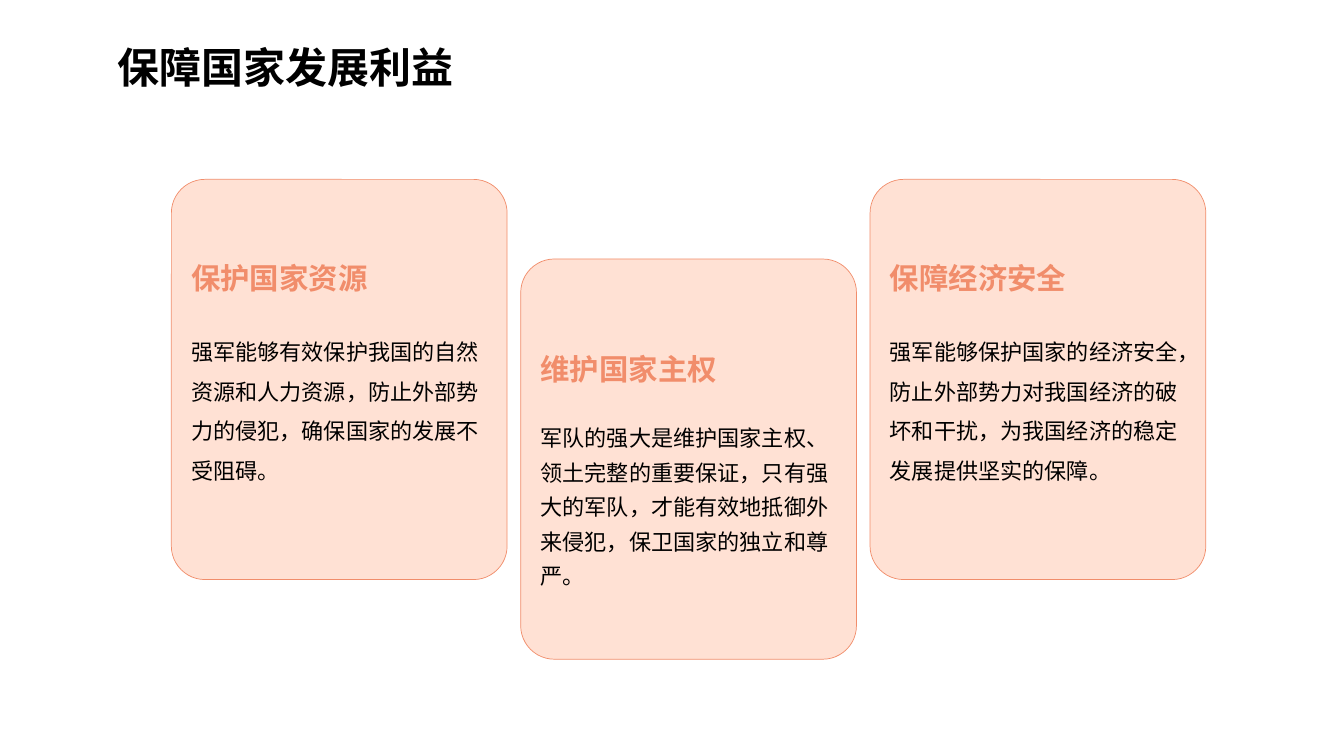
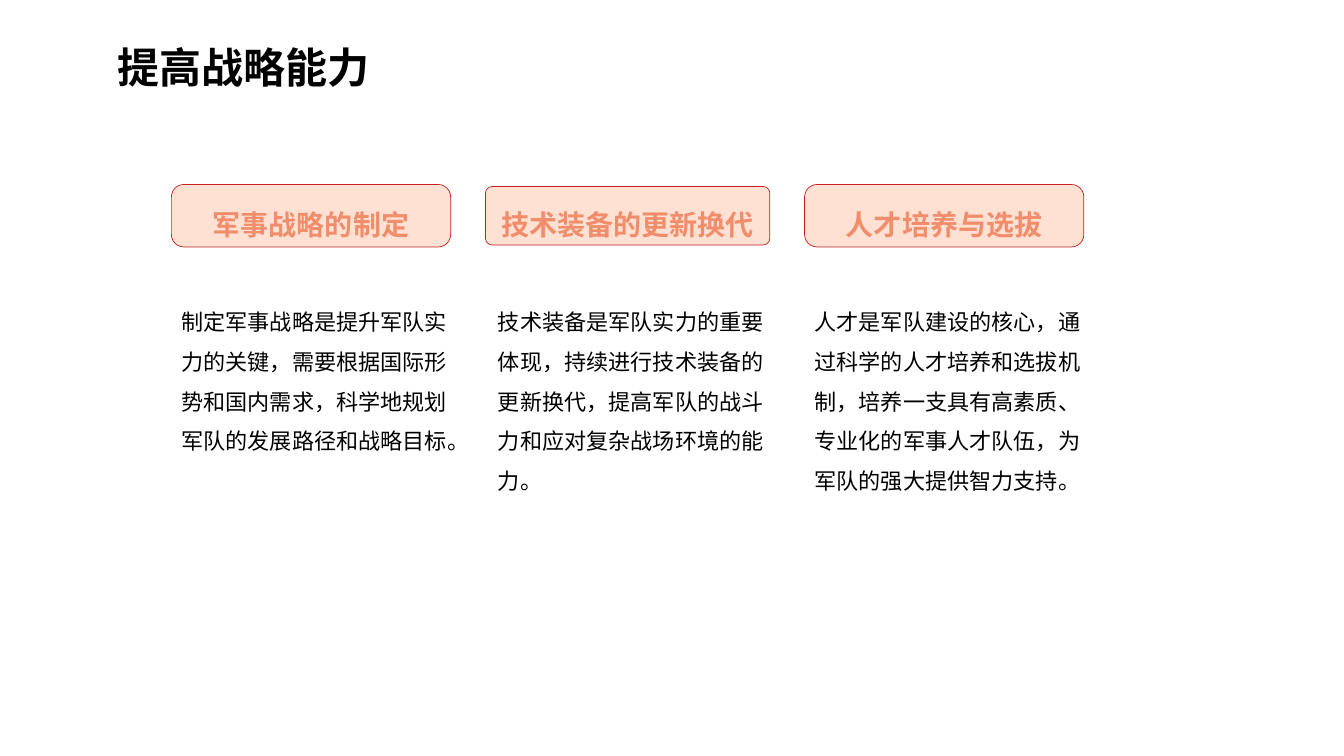
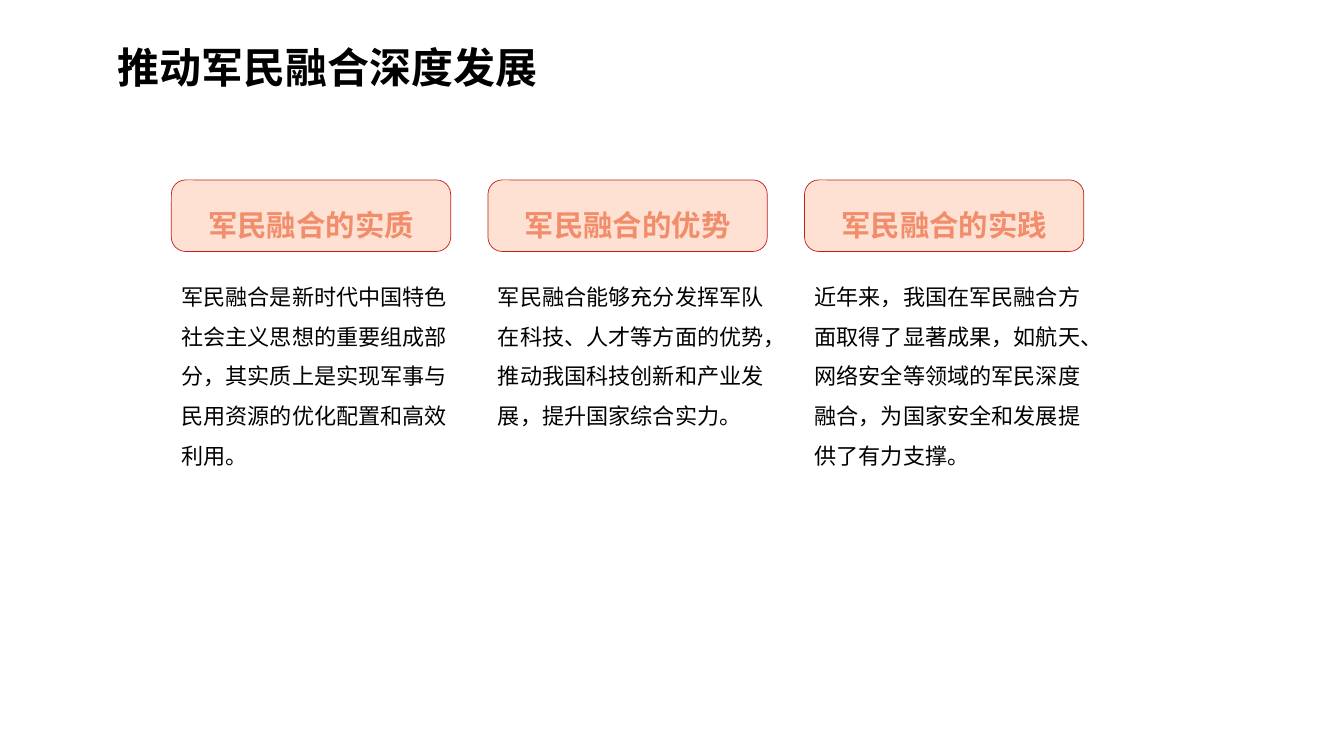
import pptx
import pptx.util
import pptx.dml.color
import pptx.enum.shapes
import pptx.enum.text
import pptx.oxml.ns
import lxml.etree

Inches = pptx.util.Inches
Pt = pptx.util.Pt
ALIGN = pptx.enum.text.PP_ALIGN
ANCHOR = pptx.enum.text.MSO_ANCHOR

FACE = "Noto Sans CJK SC"
INK, PEACH, CORAL, RED = "000000", "FFE1D4", "F18D6B", "C22020"
BODY = 15.8
LEFT, STEP, CHIP = 1.7, 3.14, 2.77


def color(code):
    return pptx.dml.color.RGBColor.from_string(code)


def write(frame, text, size=BODY, ink=INK, bold=False, align=ALIGN.LEFT,
          lead=1.5, after=0, more=False):
    """Put text in the frame's first paragraph, or in a further one if more."""
    para = frame.add_paragraph() if more else frame.paragraphs[0]
    para.alignment, para.line_spacing, para.space_after = align, lead, Pt(after)
    run = para.add_run()
    run.text = text
    font = run.font
    font.name, font.size, font.bold = FACE, Pt(size), bold
    font.color.rgb = color(ink)
    east = lxml.etree.Element(pptx.oxml.ns.qn("a:ea"), typeface=FACE)
    font._element.find(pptx.oxml.ns.qn("a:latin")).addnext(east)


def label(slide, box, text, anchor=ANCHOR.TOP, **style):
    frame = slide.shapes.add_textbox(*map(Inches, box)).text_frame
    frame.word_wrap = True
    frame.vertical_anchor = anchor
    write(frame, text, **style)


def panel(slide, box, edge, curve, anchor, top=0):
    """Draw a rounded peach panel and return its text frame."""
    shape = slide.shapes.add_shape(
        pptx.enum.shapes.MSO_SHAPE.ROUNDED_RECTANGLE, *map(Inches, box))
    shape.adjustments[0] = curve
    shape.shadow.inherit = False
    shape.fill.solid()
    shape.fill.fore_color.rgb = color(PEACH)
    shape.line.color.rgb = color(edge)
    shape.line.width = Pt(0.5)
    frame = shape.text_frame
    frame.word_wrap = True
    frame.vertical_anchor = anchor
    frame.margin_top, frame.margin_bottom = Inches(top), 0
    return frame


def start(deck, title):
    """Add a blank slide with its title."""
    slide = deck.slides.add_slide(deck.slide_layouts[6])
    label(slide, (1.07, 0.11, 10.25, 0.86), title, ANCHOR.MIDDLE,
          size=30, bold=True)
    return slide


def card(slide, left, top, head, body, inset, lead):
    frame = panel(slide, (left, top, 3.33, 3.97), CORAL, 0.1, ANCHOR.TOP, inset)
    write(frame, head, size=21, ink=CORAL, bold=True, lead=1, after=21.5)
    write(frame, body, lead=lead, more=True)


def column(slide, left, top, head, body, size, wide, high, curve=0.2):
    """Place a heading chip, centred on its column, above body text at top."""
    box = (left + (CHIP - wide) / 2, 2.14 - high / 2, wide, high)
    frame = panel(slide, box, RED, curve, ANCHOR.MIDDLE)
    write(frame, head, size=size, ink=CORAL, bold=True, align=ALIGN.CENTER)
    label(slide, (left, top, 3, 2.07), body)


def cards(deck, title, items):
    slide = start(deck, title)
    for i, (head, body) in enumerate(items):
        low = i % 2
        card(slide, LEFT + i * 3.465, 2.57 if low else 1.78, head, body,
             inset=0.82 if low else 0.7, lead=1.3 if low else 1.5)


def columns(deck, title, top, size, high, items):
    """Each item is a heading, a body and any chip settings of its own."""
    slide = start(deck, title)
    for i, (head, body, own) in enumerate(items):
        chip = {"wide": CHIP, "high": high, **own}
        column(slide, LEFT + i * STEP, top, head, body, size, **chip)


def main():
    deck = pptx.Presentation()
    deck.slide_width, deck.slide_height = Inches(13.33), Inches(7.5)
    cards(deck, "保障国家发展利益", [
        ("保护国家资源",
         "强军能够有效保护我国的自然资源和人力资源，防止外部势力的侵犯，确保国家的发展不受阻碍。"),
        ("维护国家主权",
         "军队的强大是维护国家主权、领土完整的重要保证，只有强大的军队，才能有效地抵御外来侵犯，保卫国家的独立和尊严。"),
        ("保障经济安全",
         "强军能够保护国家的经济安全，防止外部势力对我国经济的破坏和干扰，为我国经济的稳定发展提供坚实的保障。"),
    ])
    columns(deck, "提高战略能力", 2.88, 20, 0.62, [
        ("军事战略的制定",
         "制定军事战略是提升军队实力的关键，需要根据国际形势和国内需求，科学地规划军队的发展路径和战略目标。", {}),
        ("技术装备的更新换代",
         "技术装备是军队实力的重要体现，持续进行技术装备的更新换代，提高军队的战斗力和应对复杂战场环境的能力。",
         {"wide": 2.82, "high": 0.58, "curve": 0.11}),
        ("人才培养与选拔",
         "人才是军队建设的核心，通过科学的人才培养和选拔机制，培养一支具有高素质、专业化的军事人才队伍，为军队的强大提供智力支持。", {}),
    ])
    columns(deck, "推动军民融合深度发展", 2.63, 21, 0.71, [
        ("军民融合的实质",
         "军民融合是新时代中国特色社会主义思想的重要组成部分，其实质上是实现军事与民用资源的优化配置和高效利用。", {}),
        ("军民融合的优势",
         "军民融合能够充分发挥军队在科技、人才等方面的优势，推动我国科技创新和产业发展，提升国家综合实力。", {}),
        ("军民融合的实践",
         "近年来，我国在军民融合方面取得了显著成果，如航天、网络安全等领域的军民深度融合，为国家安全和发展提供了有力支撑。", {}),
    ])
    deck.save("out.pptx")


if __name__ == "__main__":
    main()
